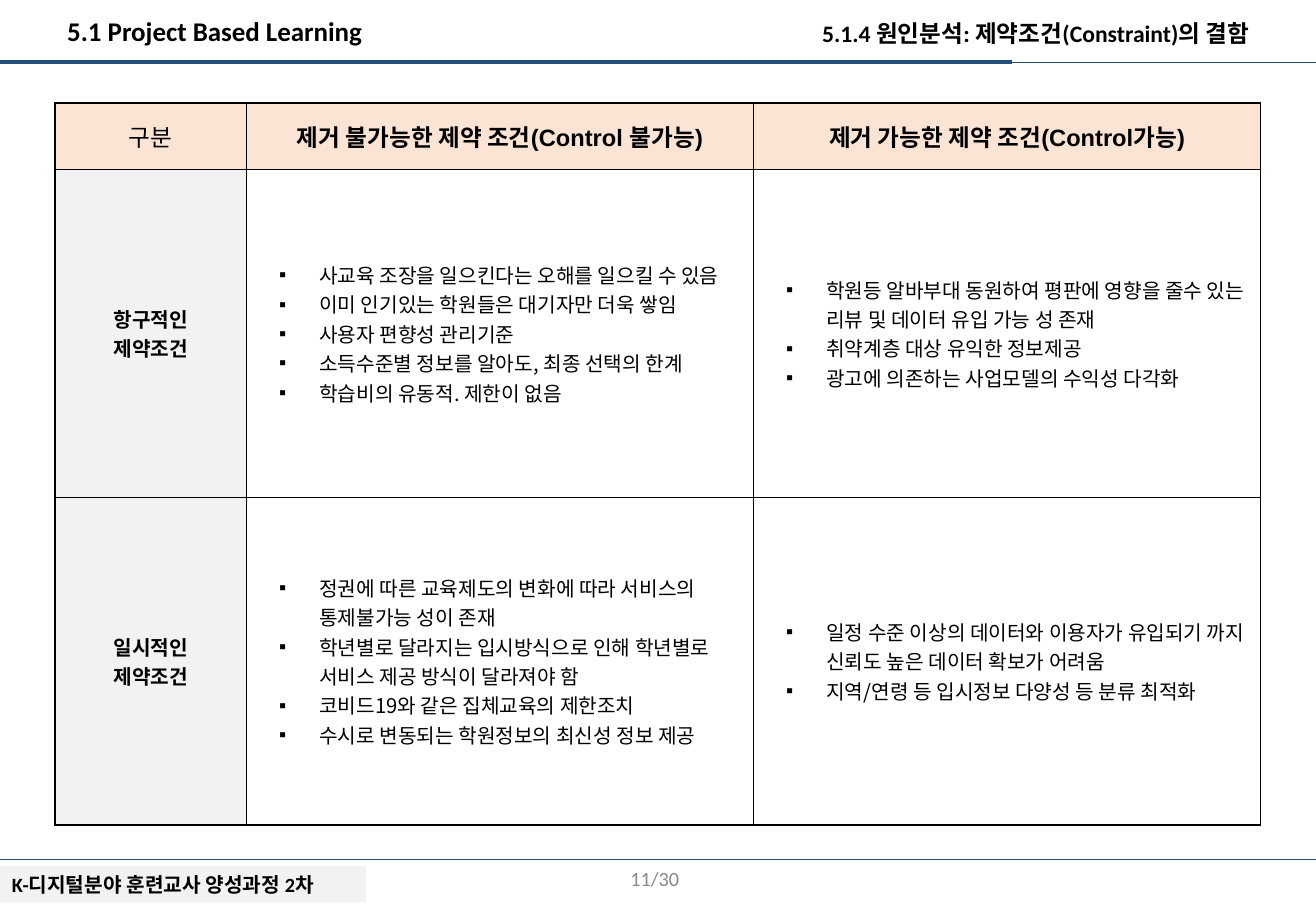
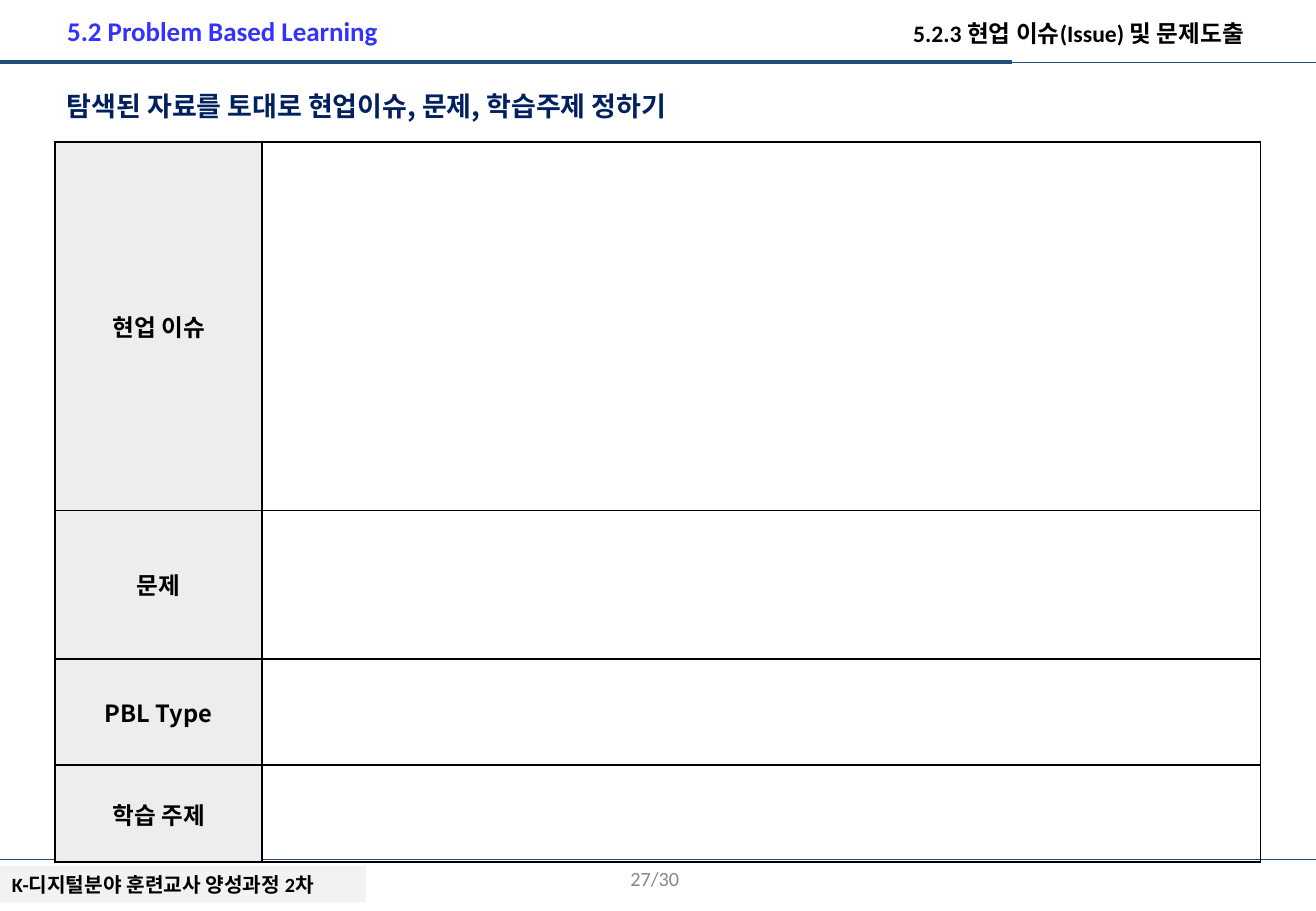
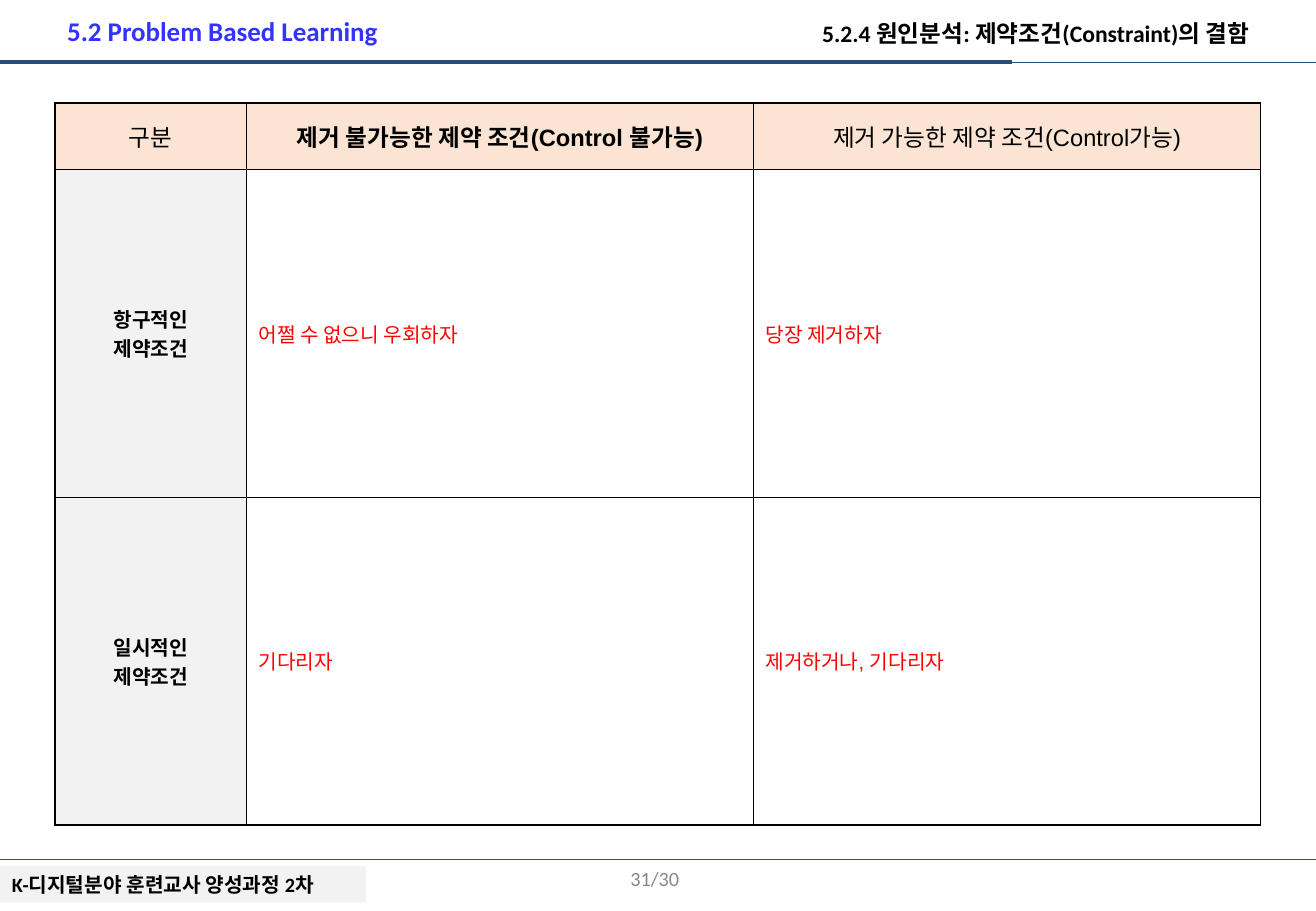
from dataclasses import dataclass, replace
from typing import NamedTuple, Optional

from lxml.etree import SubElement
from pptx import Presentation
from pptx.dml.color import RGBColor
from pptx.enum.shapes import MSO_CONNECTOR, MSO_SHAPE
from pptx.enum.text import MSO_ANCHOR, MSO_AUTO_SIZE, PP_ALIGN
from pptx.oxml.ns import qn
from pptx.util import Cm, Pt


@dataclass(frozen=True)
class Style:
    font: str
    size: float
    color: str = "000000"
    bold: bool = False


@dataclass(frozen=True)
class Theme:
    korean = "Noto Sans CJK KR"
    navy = "244F7A"
    border = "000000"
    gray = "F2F2F2"
    label_gray = "EDEDED"
    peach = "FBE4D4"
    project_title = Style("Calibri", 16, bold=True)
    problem_title = Style("Calibri", 16, "3333FF", True)
    topic = Style("Calibri", 14, bold=True)
    subtitle = Style("Noto Sans CJK KR", 16, "002060", True)
    footer = Style("Calibri", 12, bold=True)
    number = Style("Calibri", 12, "888888")
    heading = Style("Arial", 14)
    strong_heading = Style("Arial", 14, bold=True)
    row_label = Style("Arial", 12, bold=True)
    form_label = Style("Noto Sans CJK KR", 14, bold=True)
    item = Style("Noto Sans CJK KR", 12)
    hint = Style("Arial", 12, "FF0000")


THEME = Theme()
PAGE_WIDTH, PAGE_HEIGHT = Cm(27.51), Cm(19.05)
MARGIN = Cm(1.15)


class Cell(NamedTuple):
    lines: tuple = ()
    style: Style = THEME.item
    align: PP_ALIGN = PP_ALIGN.LEFT
    fill: Optional[str] = None
    bullets: bool = False


def rgb(color):
    return RGBColor.from_string(color)


def add_bullet(para):
    properties = para._p.get_or_add_pPr()
    properties.set("marL", str(Cm(1.27)))
    properties.set("indent", str(-Cm(0.84)))
    color = SubElement(properties, qn("a:buClr"))
    SubElement(color, qn("a:srgbClr"), val=THEME.border)
    SubElement(properties, qn("a:buFont"), typeface="Arial")
    SubElement(properties, qn("a:buChar"), char="▪")


def write(frame, lines, style, align=PP_ALIGN.LEFT, bullets=False):
    """Fill a text frame with one paragraph per line."""
    for index, line in enumerate(lines):
        para = frame.paragraphs[0] if index == 0 else frame.add_paragraph()
        para.text = line
        para.alignment = align
        if bullets:
            add_bullet(para)
        font = para.font
        font.name, font.size, font.bold = style.font, Pt(style.size), style.bold
        font.color.rgb = rgb(style.color)
        SubElement(font._element, qn("a:ea"), typeface=THEME.korean)


def add_text(page, left, top, width, height, text, style,
             align=PP_ALIGN.LEFT, anchor=MSO_ANCHOR.TOP):
    frame = page.shapes.add_textbox(left, top, width, height).text_frame
    frame.word_wrap = True
    frame.vertical_anchor = anchor
    write(frame, [text], style, align)


def add_rule(page, y, length, weight):
    """Draw a horizontal line from the left edge of the page."""
    rule = page.shapes.add_connector(MSO_CONNECTOR.STRAIGHT, 0, y, length, y)
    rule.line.color.rgb = rgb(THEME.navy)
    rule.line.width = Pt(weight)
    SubElement(rule._element.spPr, qn("a:effectLst"))


def add_footer_bar(page):
    bar = page.shapes.add_shape(MSO_SHAPE.RECTANGLE, 0, Cm(18.11), Cm(7.65), Cm(0.76))
    bar.shadow.inherit = False
    bar.fill.solid()
    bar.fill.fore_color.rgb = rgb(THEME.gray)
    bar.line.fill.background()
    bar.text_frame.vertical_anchor = MSO_ANCHOR.TOP
    write(bar.text_frame, ["K-디지털분야 훈련교사 양성과정 2차"], THEME.footer)


def add_page(deck, title, title_style, topic, number):
    """Add a slide with the title, topic, rules and footer that all slides share."""
    page = deck.slides.add_slide(deck.slide_layouts[5])
    heading = page.shapes.title
    heading.left, heading.top, heading.width, heading.height = (
        MARGIN, Cm(0.18), Cm(8.36), Cm(0.94))
    heading.text_frame.vertical_anchor = MSO_ANCHOR.TOP
    heading.text_frame.auto_size = MSO_AUTO_SIZE.NONE
    write(heading.text_frame, [title], title_style)

    add_footer_bar(page)
    add_rule(page, Cm(1.3), PAGE_WIDTH, 0.75)
    add_rule(page, Cm(1.3), Cm(21.16), 2.5)
    add_rule(page, Cm(17.98), PAGE_WIDTH, 0.75)
    add_text(page, Cm(15.6), Cm(0.28), Cm(10.77), Cm(0.86), topic,
             THEME.topic, PP_ALIGN.RIGHT)
    add_text(page, Cm(8.25), Cm(17.86), Cm(6.2), Cm(1.02), f"{number}/30",
             THEME.number, PP_ALIGN.RIGHT, MSO_ANCHOR.MIDDLE)
    return page


def add_borders(cell):
    properties = cell._tc.get_or_add_tcPr()
    for side in ("lnL", "lnR", "lnT", "lnB"):
        line = SubElement(properties, qn(f"a:{side}"), w=str(Pt(1)))
        fill = SubElement(line, qn("a:solidFill"))
        SubElement(fill, qn("a:srgbClr"), val=THEME.border)


def add_grid(page, top, widths, heights, rows):
    """Add a bordered table; widths and heights are in centimetres."""
    table = page.shapes.add_table(len(heights), len(widths), MARGIN, top,
                                  Cm(sum(widths)), Cm(sum(heights))).table
    table.first_row = table.horz_banding = False
    for column, width in zip(table.columns, widths):
        column.width = Cm(width)
    for row, height, contents in zip(table.rows, heights, rows):
        row.height = Cm(height)
        for cell, content in zip(row.cells, contents):
            add_borders(cell)
            if content.fill:
                cell.fill.solid()
                cell.fill.fore_color.rgb = rgb(content.fill)
            else:
                cell.fill.background()
            cell.vertical_anchor = MSO_ANCHOR.MIDDLE
            write(cell.text_frame, content.lines, content.style,
                  content.align, content.bullets)


def label(style, fill, *lines):
    return Cell(lines, style, PP_ALIGN.CENTER, fill)


def bullets(*lines):
    return Cell(lines, bullets=True)


def hint(line):
    return Cell((line,), THEME.hint)


def add_constraint_table(page, permanent, temporary, removable_bold):
    """Add the table of constraints by duration (rows) and control (columns)."""
    removable_style = replace(THEME.heading, bold=removable_bold)
    rows = [
        [label(THEME.heading, THEME.peach, "구분"),
         label(THEME.strong_heading, THEME.peach, "제거 불가능한 제약 조건(Control 불가능)"),
         label(removable_style, THEME.peach, "제거 가능한 제약 조건(Control가능)")],
        [label(THEME.row_label, THEME.gray, "항구적인", "제약조건"), *permanent],
        [label(THEME.row_label, THEME.gray, "일시적인", "제약조건"), *temporary],
    ]
    add_grid(page, Cm(2.15), [4, 10.6, 10.6], [1.4, 6.85, 6.85], rows)


def add_project_constraints(deck):
    page = add_page(deck, "5.1 Project Based Learning", THEME.project_title,
                    "5.1.4 원인분석: 제약조건(Constraint)의 결함", 11)
    permanent = [
        bullets("사교육 조장을 일으킨다는 오해를 일으킬 수 있음",
                "이미 인기있는 학원들은 대기자만 더욱 쌓임",
                "사용자 편향성 관리기준",
                "소득수준별 정보를 알아도, 최종 선택의 한계",
                "학습비의 유동적. 제한이 없음"),
        bullets("학원등 알바부대 동원하여 평판에 영향을 줄수 있는 리뷰 및 데이터 유입 가능 성 존재",
                "취약계층 대상 유익한 정보제공",
                "광고에 의존하는 사업모델의 수익성 다각화"),
    ]
    temporary = [
        bullets("정권에 따른 교육제도의 변화에 따라 서비스의 통제불가능 성이 존재",
                "학년별로 달라지는 입시방식으로 인해 학년별로 서비스 제공 방식이 달라져야 함",
                "코비드19와 같은 집체교육의 제한조치",
                "수시로 변동되는 학원정보의 최신성 정보 제공"),
        bullets("일정 수준 이상의 데이터와 이용자가 유입되기 까지 신뢰도 높은 데이터 확보가 어려움",
                "지역/연령 등 입시정보 다양성 등 분류 최적화"),
    ]
    add_constraint_table(page, permanent, temporary, removable_bold=True)


def add_issue_form(deck):
    page = add_page(deck, "5.2 Problem Based Learning", THEME.problem_title,
                    "5.2.3 현업 이슈(Issue) 및 문제도출 ", 27)
    add_text(page, MARGIN, Cm(1.75), Cm(20.57), Cm(0.94),
             "탐색된 자료를 토대로 현업이슈, 문제, 학습주제 정하기", THEME.subtitle)
    rows = [[label(THEME.form_label, THEME.label_gray, name), Cell()]
            for name in ("현업 이슈", "문제", "PBL Type", "학습 주제")]
    add_grid(page, Cm(2.97), [4.33, 20.87], [7.7, 3.11, 2.22, 2.03], rows)


def add_problem_constraints(deck):
    page = add_page(deck, "5.2 Problem Based Learning", THEME.problem_title,
                    "5.2.4 원인분석: 제약조건(Constraint)의 결함", 31)
    add_constraint_table(page,
                         [hint("어쩔 수 없으니 우회하자"), hint("당장 제거하자")],
                         [hint("기다리자"), hint("제거하거나, 기다리자")],
                         removable_bold=False)


def main():
    deck = Presentation()
    deck.slide_width, deck.slide_height = PAGE_WIDTH, PAGE_HEIGHT
    add_project_constraints(deck)
    add_issue_form(deck)
    add_problem_constraints(deck)
    deck.save("out.pptx")


if __name__ == "__main__":
    main()
